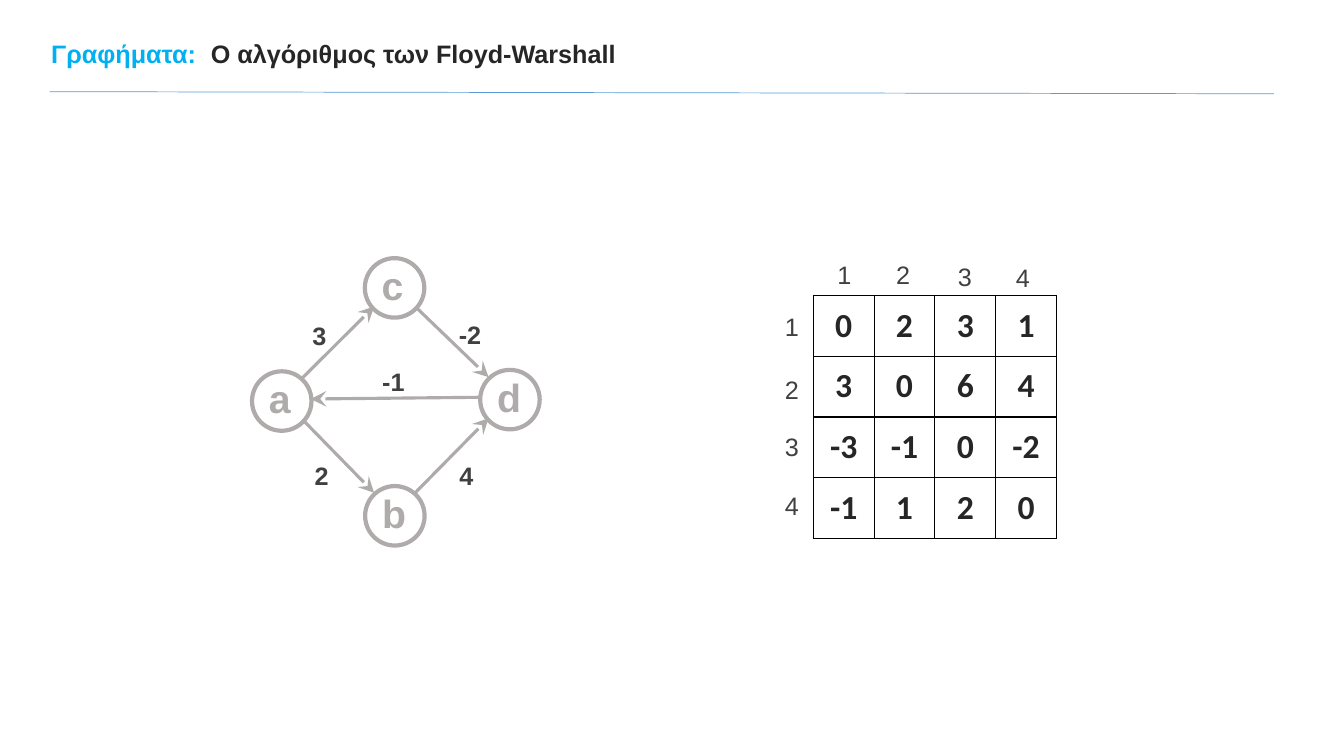
from pptx import Presentation
from pptx.dml.color import RGBColor
from pptx.enum.shapes import MSO_CONNECTOR as CONN, MSO_SHAPE as SHAPE
from pptx.enum.text import MSO_ANCHOR as ANCHOR, PP_ALIGN as ALIGN
from pptx.oxml.ns import qn
from pptx.util import Pt
from lxml.etree import SubElement

CYAN = RGBColor(0x00, 0xB0, 0xF0)
BLUE = RGBColor(0x5B, 0x9B, 0xD5)
INK = RGBColor(0x26, 0x26, 0x26)
DARK = RGBColor(0x40, 0x40, 0x40)
GRAY = RGBColor(0xAF, 0xAB, 0xAB)
BLACK = RGBColor(0, 0, 0)

prs = Presentation()
prs.slide_width, prs.slide_height = Pt(960), Pt(540)
s = prs.slides.add_slide(prs.slide_layouts[6])


def add_text(text, x, y, w=50.4, h=29, size=18, color=DARK, bold=False, align=ALIGN.CENTER):
    tf = s.shapes.add_textbox(Pt(x), Pt(y), Pt(w), Pt(h)).text_frame
    tf.word_wrap = True
    p = tf.paragraphs[0]
    p.text, p.alignment = text, align
    f = p.font
    f.name, f.size, f.bold, f.color.rgb = "Arial", Pt(size), bold, color


def add_line(x1, y1, x2, y2, color, width):
    line = s.shapes.add_connector(CONN.STRAIGHT, Pt(x1), Pt(y1), Pt(x2), Pt(y2))
    line.line.color.rgb, line.line.width = color, Pt(width)
    SubElement(line._element.spPr, qn("a:effectLst"))
    return line


# Title and rule
add_text("Γραφήματα:", 29.5, 24, w=122, color=CYAN, bold=True, align=ALIGN.LEFT)
add_text("Ο αλγόριθμος των Floyd-Warshall", 143.5, 24, w=310, color=INK, bold=True,
         align=ALIGN.LEFT)
add_line(35.5, 65.5, 910, 67, BLUE, 0.5)

# Distance matrix
distances = [[0, 2, 3, 1], [3, 0, 6, 4], [-3, -1, 0, -2], [-1, 1, 2, 0]]
LEFT, TOP, CELL = 581, 211, 43.4
n = len(distances)
table_frame = s.shapes.add_table(n, n, Pt(LEFT), Pt(TOP), Pt(n * CELL), Pt(n * CELL))
table = table_frame.table
table.first_row = table.horz_banding = False
for i, row in enumerate(distances):
    table.rows[i].height = table.columns[i].width = Pt(CELL)
    for j, value in enumerate(row):
        cell = table.cell(i, j)
        cell.vertical_anchor = ANCHOR.MIDDLE
        p = cell.text_frame.paragraphs[0]
        p.text, p.alignment = str(value), ALIGN.CENTER
        f = p.font
        f.name, f.size, f.bold, f.color.rgb = "Calibri", Pt(24), True, INK
        # Borders precede the fill in the cell properties
        tcPr = cell._tc.get_or_add_tcPr()
        for side in ("a:lnL", "a:lnR", "a:lnT", "a:lnB"):
            ln = SubElement(tcPr, qn(side), w=str(Pt(1)))
            SubElement(SubElement(ln, qn("a:solidFill")), qn("a:srgbClr"), val=str(BLACK))
        cell.fill.background()

# Column and row numbers
for k, (x, y) in enumerate([(578, 182), (620, 182), (664, 183), (705.5, 183.5)], 1):
    add_text(str(k), x, y)
for k, y in enumerate([219, 264, 304.5, 347], 1):
    add_text(str(k), 540.5, y)

# Graph nodes
NODE = 42.5
nodes = {"c": (260.6, 184.4), "a": (180, 265.2), "d": (343, 264.2), "b": (260.8, 347.2)}
for name, (x, y) in nodes.items():
    sp = s.shapes.add_shape(SHAPE.OVAL, Pt(x), Pt(y), Pt(NODE), Pt(NODE))
    sp.shadow.inherit = False
    sp.fill.background()
    sp.line.color.rgb, sp.line.width = GRAY, Pt(3)
    add_text(name, x + 5, y - 1, w=31, h=41, size=28, color=GRAY, bold=True, align=ALIGN.LEFT)

# Directed edges: start, end, weight, label position
edges = [
    ((216, 270), (267.2, 219), "3", (203, 225.5)),
    ((296.6, 219), (349, 269.4), "-2", (310.5, 224.5)),
    ((216, 299.6), (267.2, 352), "2", (204.5, 325)),
    ((296.6, 352), (349, 298.8), "4", (308, 325)),
    ((342.8, 283.8), (222, 285), "-1", (255.8, 258.2)),
]
for start, end, weight, label in edges:
    edge = add_line(*start, *end, GRAY, 2.25)
    SubElement(edge.line._get_or_add_ln(), qn("a:tailEnd"), type="stealth", w="lg", len="lg")
    add_text(weight, *label, bold=True)

prs.save("out.pptx")
